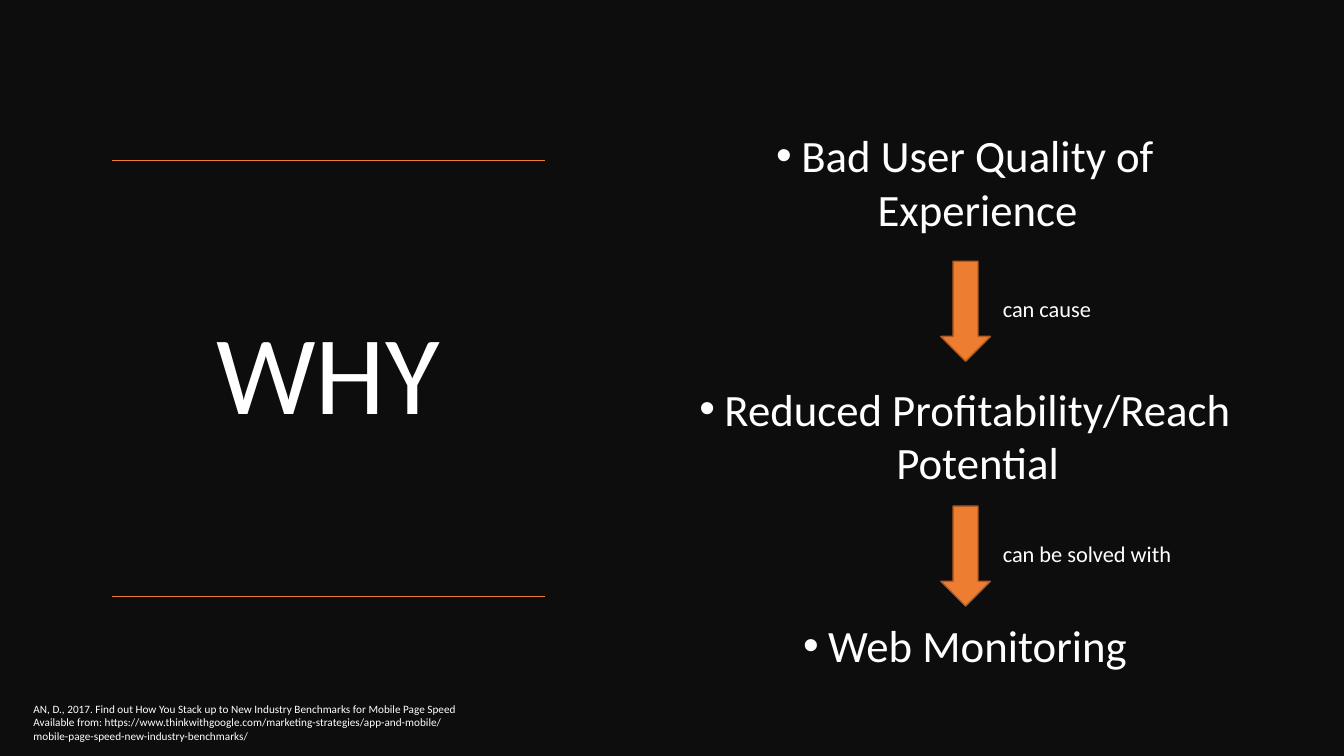
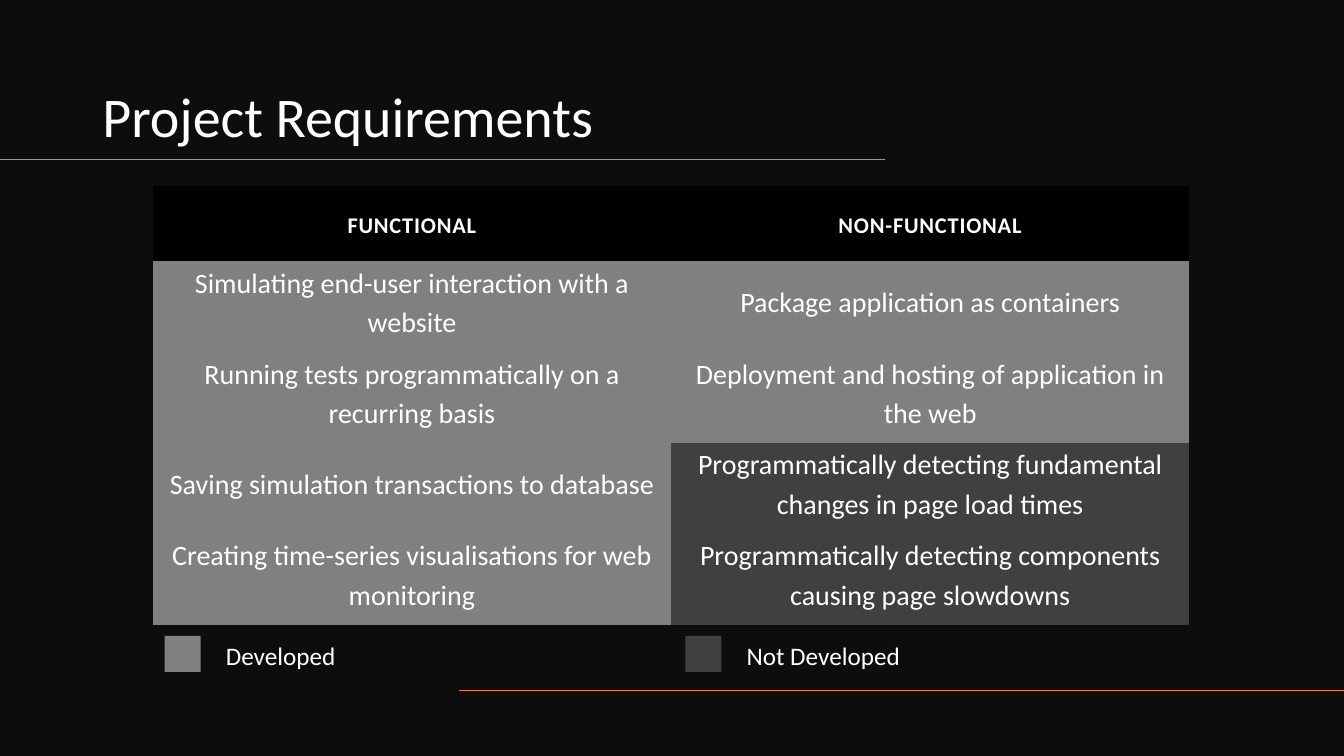
from pptx import Presentation
from pptx.dml.color import RGBColor
from pptx.enum.shapes import MSO_CONNECTOR, MSO_SHAPE
from pptx.enum.text import MSO_ANCHOR, MSO_AUTO_SIZE, PP_ALIGN
from pptx.oxml.ns import qn
from pptx.util import Inches, Pt
from lxml import etree

LEFT, MID = PP_ALIGN.LEFT, PP_ALIGN.CENTER
TOP, HALF, LOW = MSO_ANCHOR.TOP, MSO_ANCHOR.MIDDLE, MSO_ANCHOR.BOTTOM
RECT, DOWN = MSO_SHAPE.RECTANGLE, MSO_SHAPE.DOWN_ARROW
STRAIGHT = MSO_CONNECTOR.STRAIGHT
FIXED = MSO_AUTO_SIZE.NONE

# The slide is a grid of 160 columns by 90 rows of square units
COLS, ROWS = 160, 90
NO_GRID = "{2D5ABB26-0587-4C30-8999-92F81FD0307C}"


def hue(code):
    return RGBColor.from_string(code)


def unit(*counts):
    return [Inches(count / 12) for count in counts]


def write(frame, text, size=16, color="FFFFFF", font="Calibri", bold=False,
          align=LEFT, lead=None, before=None, after=None, track=0,
          indent=None, more=False):
    """Write one paragraph; more adds it below those already there."""
    para = frame.add_paragraph() if more else frame.paragraphs[0]
    para.alignment = align
    para.line_spacing = lead
    para.space_before = Pt(before or 0)
    if after is not None:
        para.space_after = Pt(after)
    if indent:
        props = para._p.get_or_add_pPr()
        props.set("marL", str(Inches(indent)))
        props.set("indent", str(-Inches(indent)))
    run = para.add_run()
    run.text = text
    face = run.font
    face.name, face.size, face.bold = font, Pt(size), bold
    face.color.rgb = hue(color)
    if track:
        run._r.get_or_add_rPr().set("spc", str(int(track * 100)))


class Deck:
    back, accent, edge = "0D0D0D", "ED7D31", "AF5C24"
    head, done, todo = "000000", "808080", "404040"

    def __init__(self):
        self.file = Presentation()
        self.file.slide_width, self.file.slide_height = unit(COLS, ROWS)
        self.slide = None

    def page(self, layout):
        self.slide = self.file.slides.add_slide(
            self.file.slide_layouts[layout])
        fill = self.slide.background.fill
        fill.solid()
        fill.fore_color.rgb = hue(self.back)

    def place(self, holder, box, anchor):
        holder.left, holder.top, holder.width, holder.height = unit(*box)
        frame = holder.text_frame
        frame.word_wrap = True
        frame.auto_size = FIXED
        frame.vertical_anchor = anchor
        return frame

    def title(self, text, box, size, anchor, align=LEFT):
        frame = self.place(self.slide.shapes.title, box, anchor)
        write(frame, text, size=size, align=align, lead=0.9)

    def list(self, items, box):
        frame = self.place(self.slide.placeholders[1], box, HALF)
        for num, (text, gap) in enumerate(items):
            write(frame, text, size=32, align=MID, before=gap,
                  indent=0.25, more=num > 0)

    def label(self, text, box, size):
        frame = self.place(self.slide.shapes.add_textbox(0, 0, 0, 0),
                           box, TOP)
        write(frame, text, size=size)

    def rule(self, start, end, row):
        line = self.slide.shapes.add_connector(
            STRAIGHT, *unit(start, row, end, row))
        line.line.color.rgb = hue(self.accent)
        line.line.width = Pt(1)
        etree.SubElement(line._element.spPr, qn("a:effectLst"))

    def shape(self, kind, box, fill, edge=None):
        item = self.slide.shapes.add_shape(kind, *unit(*box))
        item.shadow.inherit = False
        item.fill.solid()
        item.fill.fore_color.rgb = hue(fill)
        if edge:
            item.line.color.rgb = hue(edge)
            item.line.width = Pt(1)
        else:
            item.line.fill.background()

    def table(self, rows, left, top, wide, first, tall):
        """Each cell is a pair of text and fill; the first row is a header."""
        count = len(rows[0])
        high = first + tall * (len(rows) - 1)
        grid = self.slide.shapes.add_table(
            len(rows), count, *unit(left, top, wide * count, high)).table
        grid.first_row = grid.horz_banding = False
        grid._tbl.tblPr.find(qn("a:tableStyleId")).text = NO_GRID
        for y, row in enumerate(rows):
            top_row = y == 0
            grid.rows[y].height = unit(first if top_row else tall)[0]
            pads = (0.18,) * 4 if top_row else (0.09, 0, 0.09, 0.12)
            for x, (text, fill) in enumerate(row):
                cell = grid.cell(y, x)
                cell.fill.solid()
                cell.fill.fore_color.rgb = hue(fill)
                cell.vertical_anchor = HALF
                (cell.margin_left, cell.margin_top, cell.margin_right,
                 cell.margin_bottom) = [Inches(pad) for pad in pads]
                write(cell.text_frame, text, size=16 if top_row else 20,
                      bold=top_row, track=0.6 if top_row else 0,
                      align=MID, lead=1.15, after=6)


def why(deck):
    deck.page(1)
    # Title between two rules
    left, top, wide, high = 13.3, 19.1, 51.6, 51.9
    deck.title("WHY", (left, top, wide, high), 80, HALF, MID)
    for row in (top, top + high):
        deck.rule(left, left + wide, row)
    # Chain of reasons, with gaps for the arrows
    deck.list([("Bad User Quality of Experience", 0),
               ("Reduced Profitability/Reach Potential", 104),
               ("Web Monitoring", 92)], (80, 13.8, 69.8, 67.6))
    for num, text in enumerate(("can cause", "can be solved with")):
        row = 31.1 + num * 29.15
        deck.shape(DOWN, (112, row, 5.9, 11.9), deck.accent, deck.edge)
        deck.label(text, (118.2, row + 3.5, 31.3, 4.4), 16)
    # Reference
    deck.label("AN, D., 2017. Find out How You Stack up to New Industry "
               "Benchmarks for Mobile Page Speed Available from: "
               "https://www.thinkwithgoogle.com/marketing-strategies/"
               "app-and-mobile/mobile-page-speed-new-industry-benchmarks/",
               (2.8, 83, 53.4, 6), 8)


def needs(deck):
    deck.page(5)
    deck.title("Project Requirements", (11, 5, 94.4, 13.4), 40, LOW)
    # Rules running off either side
    deck.rule(0, 105.4, 19)
    deck.rule(COLS - 105.4, COLS, 82.2)
    # Requirements, shaded by state
    head, done, todo = deck.head, deck.done, deck.todo
    deck.table([
        [("FUNCTIONAL", head), ("NON-FUNCTIONAL", head)],
        [("Simulating end-user interaction with a website", done),
         ("Package application as containers", done)],
        [("Running tests programmatically on a recurring basis", done),
         ("Deployment and hosting of application in the web", done)],
        [("Saving simulation transactions to database", done),
         ("Programmatically detecting fundamental changes in page load times",
          todo)],
        [("Creating time-series visualisations for web monitoring", done),
         ("Programmatically detecting components causing page slowdowns",
          todo)],
    ], 18.2, 22.1, 61.7, 9, 10.8)
    # Legend
    for num, (text, fill) in enumerate((("Developed", done),
                                        ("Not Developed", todo))):
        col = 19.6 + num * 62
        deck.shape(RECT, (col, 75.7, 4.3, 4.3), fill)
        deck.label(text, (col + 6.1, 75.6, 40, 4.8), 18)


def main():
    deck = Deck()
    why(deck)
    needs(deck)
    deck.file.save("out.pptx")


if __name__ == "__main__":
    main()
